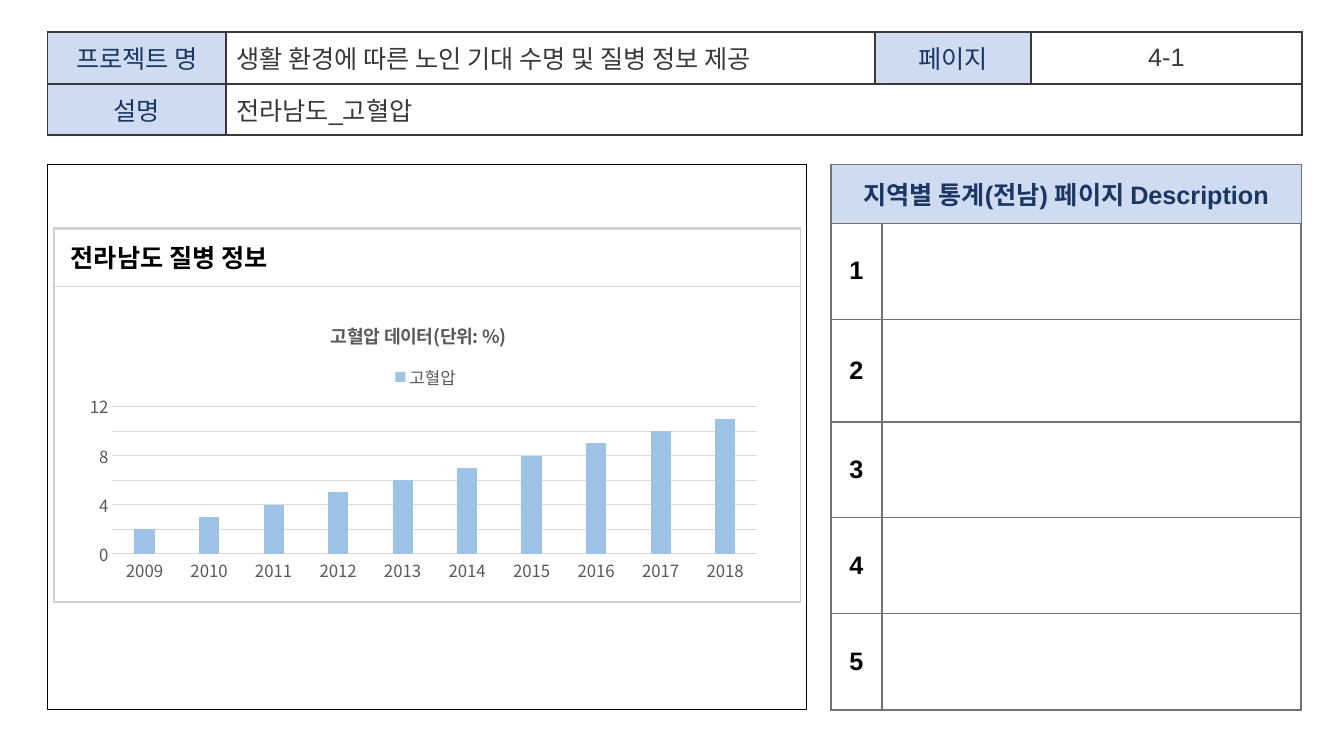
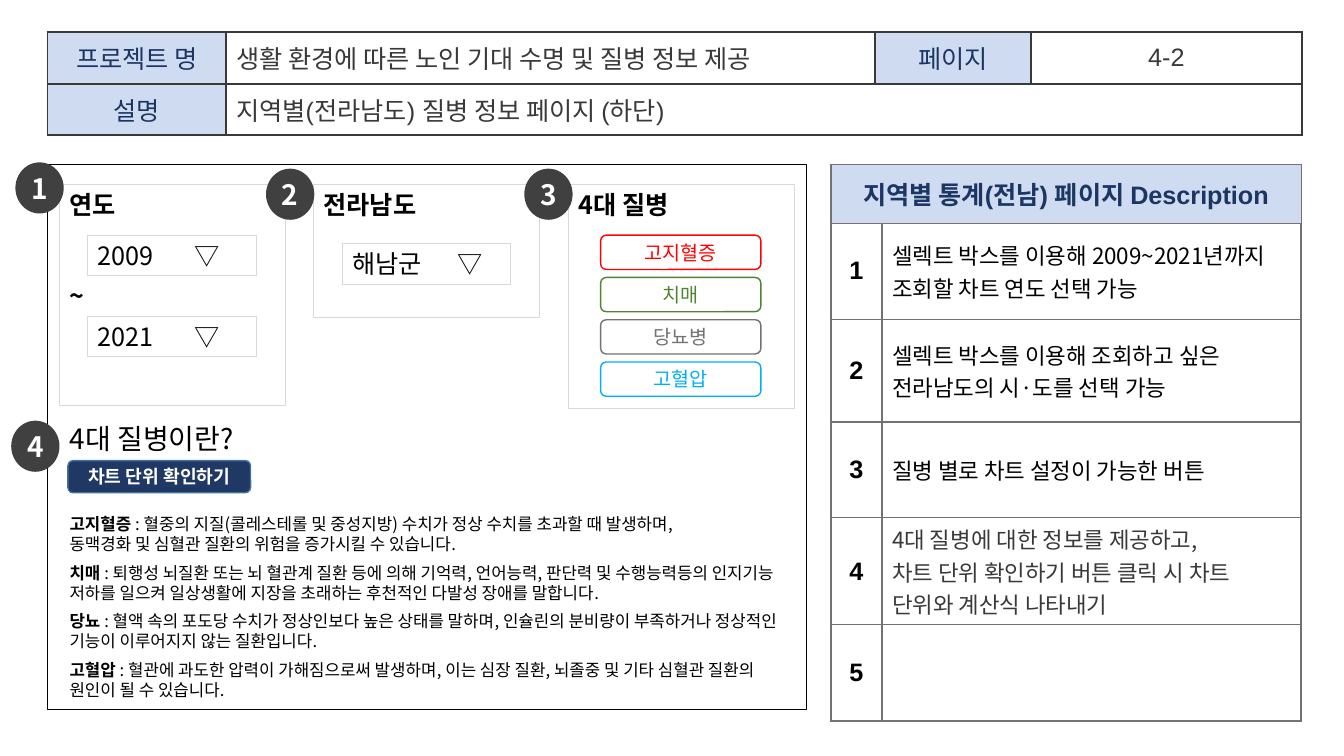
"""Build two storyboard pages on regional disease statistics."""
from lxml import etree
from pptx import Presentation, util as u
from pptx.chart import data as chart_data
from pptx.dml import color
from pptx.enum import chart as charts, shapes, text
from pptx.oxml import ns

COLORS = {
    "navy": "1C3664", "label": "CFDBF0", "ink": "3B3838", "grid": "767171",
    "white": "FFFFFF", "black": "000000", "pale": "D9D9D9", "panel": "D0CECE",
    "badge": "404040", "button": "203864", "button_edge": "43739E",
    "chart_text": "595959", "bar": "9DC3E6", "red": "FF0000",
    "green": "548235", "sky": "00B0F0",
}
NOTO, ARIAL = "Noto Sans CJK KR", "Arial"
CENTER, LEFT = text.PP_ALIGN.CENTER, text.PP_ALIGN.LEFT
MIDDLE, TOP = text.MSO_ANCHOR.MIDDLE, text.MSO_ANCHOR.TOP
RECT, ROUND, OVAL = (shapes.MSO_SHAPE.RECTANGLE, shapes.MSO_SHAPE.ROUNDED_RECTANGLE,
                     shapes.MSO_SHAPE.OVAL)


def rgb(name):
    return color.RGBColor.from_string(COLORS[name])


def add_node(parent, tag, index=None, **attributes):
    node = etree.Element(ns.qn(tag), {key: str(value) for key, value in attributes.items()})
    parent.insert(len(parent) if index is None else index, node)
    return node


def set_font(font, size, ink="black", bold=False, face=NOTO):
    font.size, font.bold, font.name = u.Pt(size), bold, face
    font.color.rgb = rgb(ink)


def set_east_asian(element):
    for properties in element.iter(ns.qn("a:rPr"), ns.qn("a:defRPr")):
        if properties.find(ns.qn("a:ea")) is None:
            add_node(properties, "a:ea", typeface=NOTO)


def style_text(frame, size, ink="black", bold=False, face=NOTO, align=LEFT, leading=None):
    for paragraph in frame.paragraphs:
        paragraph.alignment = align
        if leading:
            paragraph.line_spacing = u.Pt(leading)
        for run in paragraph.runs:
            set_font(run.font, size, ink, bold, face)
    set_east_asian(frame._txBody)


def set_borders(cell, ink, widths):
    properties = cell._tc.get_or_add_tcPr()
    for index, (side, width) in enumerate(zip("LRTB", widths)):
        edge = add_node(properties, "a:ln" + side, index, w=int(u.Pt(width)))
        add_node(add_node(edge, "a:solidFill"), "a:srgbClr", val=COLORS[ink])


def set_layout(parent, index, **fractions):
    for old in parent.findall(ns.qn("c:layout")):
        parent.remove(old)
    manual = add_node(add_node(parent, "c:layout", index), "c:manualLayout")
    if "w" in fractions:
        add_node(manual, "c:layoutTarget", val="inner")
    for axis in "xy":
        add_node(manual, f"c:{axis}Mode", val="edge")
    for key, value in fractions.items():
        add_node(manual, "c:" + key, val=value)


class Storyboard:
    """Hold the shared style and the current slide."""

    def __init__(self):
        self.deck = Presentation()
        self.deck.slide_width, self.deck.slide_height = u.Pt(960), u.Pt(540)
        self.slide = None

    def page(self, layout, number, summary, notes):
        self.slide = self.deck.slides.add_slide(self.deck.slide_layouts[layout])
        self.box(RECT, 34, 117.5, 542, 389.5, "black")
        self.description(notes)
        self.header(number, summary)

    def placeholder(self, index, left, top, width, height, anchor=TOP):
        holder = self.slide.placeholders[index]
        holder.left, holder.top = u.Pt(left), u.Pt(top)
        holder.width, holder.height = u.Pt(width), u.Pt(height)
        frame = holder.text_frame
        frame.auto_size, frame.word_wrap = text.MSO_AUTO_SIZE.NONE, True
        frame.vertical_anchor = anchor
        return holder

    def title(self, words, left, top, width, height, size, anchor=TOP, **style):
        holder = self.placeholder(0, left, top, width, height, anchor)
        holder.text_frame.text = words
        style_text(holder.text_frame, size, **style)
        return holder

    def box(self, kind, left, top, width, height, line=None, fill=None, weight=0.75):
        shape = self.slide.shapes.add_shape(
            kind, u.Pt(left), u.Pt(top), u.Pt(width), u.Pt(height))
        shape.shadow.inherit = False
        if fill:
            shape.fill.solid()
            shape.fill.fore_color.rgb = rgb(fill)
        else:
            shape.fill.background()
        if line:
            shape.line.color.rgb = rgb(line)
            shape.line.width = u.Pt(weight)
        else:
            shape.line.fill.background()
        return shape

    def button(self, words, left, top, width, height, size, ink, line, fill=None, bold=False):
        frame = self.box(ROUND, left, top, width, height, line, fill, 1).text_frame
        frame.text, frame.vertical_anchor = words, MIDDLE
        style_text(frame, size, ink, bold, align=CENTER)

    def badge(self, number, left, top):
        frame = self.box(OVAL, left, top, 34.5, 36.5, fill="badge").text_frame
        frame.text, frame.vertical_anchor = str(number), MIDDLE
        frame.margin_left = frame.margin_right = 0
        style_text(frame, 20, "white", True, align=CENTER)

    def panel(self, words, left, height):
        frame = self.box(RECT, left, 132, 161.5, height, "pale").text_frame
        frame.text, frame.vertical_anchor = words, TOP
        style_text(frame, 18, bold=True, leading=21.6)
        for paragraph in frame.paragraphs[1:]:
            paragraph.space_before = u.Pt(43)

    def select(self, choice, left, top, arrow):
        frame = self.box(RECT, left, top, 120.5, 29, "pale").text_frame
        frame.text, frame.vertical_anchor = choice + "\t▽", MIDDLE
        style_text(frame, 18)
        stops = add_node(frame.paragraphs[0]._p.get_or_add_pPr(), "a:tabLst")
        add_node(stops, "a:tab", pos=int(u.Pt(arrow)), algn="l")

    def table(self, left, top, columns, rows):
        grid = self.slide.shapes.add_table(
            len(rows), len(columns), u.Pt(left), u.Pt(top),
            u.Pt(sum(columns)), u.Pt(sum(rows))).table
        grid.first_row = grid.horz_banding = False
        for column, width in zip(grid.columns, columns):
            column.width = u.Pt(width)
        for row, height in zip(grid.rows, rows):
            row.height = u.Pt(height)
        return grid

    def cell(self, cell, words, fill, borders, **style):
        cell.fill.solid()
        cell.fill.fore_color.rgb = rgb(fill)
        cell.vertical_anchor = MIDDLE
        set_borders(cell, *borders)
        if words:
            cell.text_frame.text = words
            style_text(cell.text_frame, **style)

    def header(self, number, summary):
        grid = self.table(34, 23, [127.5, 463.5, 111.5, 193.5], [36.75, 36.75])
        grid.cell(1, 1).merge(grid.cell(1, 3))
        content = [["프로젝트 명", "생활 환경에 따른 노인 기대 수명 및 질병 정보 제공", "페이지", number],
                   ["설명", summary, "", ""]]
        for r, row in enumerate(content):
            for c, words in enumerate(row):
                is_label = c == 0 or words == "페이지"
                self.cell(grid.cell(r, c), words, "label" if is_label else "white",
                          ("ink", [1.5] * 4), size=18, face=ARIAL,
                          ink="navy" if is_label else "ink",
                          align=LEFT if c == 1 else CENTER)

    def description(self, notes):
        heights = [42, 68.5, 73.5, 68.5, 68.5, 68.5]
        grid = self.table(593.5, 117.5, [36.5, 299.5], heights)
        grid.cell(0, 0).merge(grid.cell(0, 1))
        rows = [("지역별 통계(전남) 페이지 Description", "")]
        rows += [(str(n), notes.get(n, "")) for n in range(1, len(heights))]
        for r, (label, note) in enumerate(rows):
            top, bottom = 1.5 if r == 0 else 1, 1.5 if r == len(rows) - 1 else 1
            fill = "white" if r else "label"
            self.cell(grid.cell(r, 0), label, fill, ("grid", [1.5, 1, top, bottom]),
                      size=18, ink="black" if r else "navy", bold=True,
                      face=ARIAL, align=CENTER)
            self.cell(grid.cell(r, 1), note, fill, ("grid", [1, 1.5, top, bottom]),
                      size=16, ink="ink" if r == 4 else "black")

    def definitions(self, entries, left, top, width, height):
        frame = self.placeholder(1, left, top, width, height).text_frame
        frame.margin_top = 0
        frame.text = "\n".join(term + " " for term, _ in entries)
        style_text(frame, 12, bold=True, leading=14.25)
        for paragraph, (_, meaning) in zip(frame.paragraphs, entries):
            paragraph.space_before, paragraph.space_after = u.Pt(0), u.Pt(6.3)
            for index, line in enumerate(meaning.split("\n")):
                if index:
                    paragraph.add_line_break()
                run = paragraph.add_run()
                run.text = line
                set_font(run.font, 12)
            properties = paragraph._p.get_or_add_pPr()
            properties.set("marL", "0")
            properties.set("indent", "0")
            add_node(properties, "a:buNone")
        set_east_asian(frame._txBody)

    def column_chart(self, heading, series, years, values, left, top, width, height):
        data = chart_data.CategoryChartData()
        data.categories = years
        data.add_series(series, values)
        chart = self.slide.shapes.add_chart(
            charts.XL_CHART_TYPE.COLUMN_CLUSTERED, u.Pt(left), u.Pt(top),
            u.Pt(width), u.Pt(height), data).chart
        set_font(chart.font, 12, "chart_text")
        chart.has_title = chart.has_legend = True
        chart.chart_title.text_frame.text = heading
        style_text(chart.chart_title.text_frame, 13, "chart_text", True, align=CENTER)
        chart.legend.position = charts.XL_LEGEND_POSITION.TOP
        chart.legend.include_in_layout = False
        set_font(chart.legend.font, 12, "chart_text")

        plot = chart.plots[0]
        plot.gap_width, plot.overlap, plot.vary_by_categories = 219, -27, False
        bars = plot.series[0].format.fill
        bars.solid()
        bars.fore_color.rgb = rgb("bar")

        scale = chart.value_axis
        scale.minimum_scale, scale.maximum_scale, scale.major_unit = 0, 12, 2
        scale.format.line.fill.background()
        for axis in (scale, chart.category_axis):
            axis.major_tick_mark = charts.XL_TICK_MARK.NONE
            set_font(axis.tick_labels.font, 12, "chart_text")
        for line in (scale.major_gridlines.format.line, chart.category_axis.format.line):
            line.color.rgb, line.width = rgb("pale"), u.Pt(0.75)

        set_layout(chart.chart_title._element, 1, x=0.36, y=0.06)
        set_layout(chart.legend._element, 1, x=0.45, y=0.21)
        set_layout(chart.element.find(".//" + ns.qn("c:plotArea")), 0,
                   x=0.05, y=0.37, w=0.93, h=0.51)
        set_east_asian(chart.element)


def main():
    board = Storyboard()

    board.page(5, "4-1", "전라남도_고혈압", {})
    board.box(RECT, 38.5, 163, 533.5, 267, "panel", weight=1)
    heading = board.title("전라남도 질병 정보", 38.5, 163.5, 533.5, 41, 18, MIDDLE,
                          bold=True, face=ARIAL)
    heading.text_frame.margin_left = u.Pt(12)
    heading.line.color.rgb, heading.line.width = rgb("pale"), u.Pt(1)
    board.column_chart("고혈압 데이터(단위: %)", "고혈압",
                       [str(year) for year in range(2009, 2019)], range(2, 12),
                       55.5, 214, 495.5, 206.5)

    board.page(1, "4-2", "지역별(전라남도) 질병 정보 페이지 (하단)", {
        1: "셀렉트 박스를 이용해 2009~2021년까지 조회할 차트 연도 선택 가능",
        2: "셀렉트 박스를 이용해 조회하고 싶은 전라남도의 시·도를 선택 가능",
        3: "질병 별로 차트 설정이 가능한 버튼",
        4: "4대 질병에 대한 정보를 제공하고,\n차트 단위 확인하기 버튼 클릭 시 차트 단위와 계산식 나타내기",
    })
    board.title("4대 질병이란?", 42.5, 297.5, 200, 32, 20, leading=24)
    board.definitions([
        ("고지혈증", ": 혈중의 지질(콜레스테롤 및 중성지방) 수치가 정상 수치를 초과할 때 발생하며,\n"
                 "동맥경화 및 심혈관 질환의 위험을 증가시킬 수 있습니다."),
        ("치매", ": 퇴행성 뇌질환 또는 뇌 혈관계 질환 등에 의해 기억력, 언어능력, 판단력 및 수행능력등의 "
               "인지기능 저하를 일으켜 일상생활에 지장을 초래하는 후천적인 다발성 장애를 말합니다."),
        ("당뇨", ": 혈액 속의 포도당 수치가 정상인보다 높은 상태를 말하며, 인슐린의 분비량이 부족하거나 "
               "정상적인 기능이 이루어지지 않는 질환입니다."),
        ("고혈압", ": 혈관에 과도한 압력이 가해짐으로써 발생하며, 이는 심장 질환, 뇌졸중 및 기타 심혈관 "
                "질환의 원인이 될 수 있습니다."),
    ], 42.5, 367, 525, 138)
    board.button("차트 단위 확인하기", 48.5, 329, 130.5, 23, 13, "white",
                 "button_edge", "button", True)
    for words, left, height in (("연도\n~", 42.5, 157.5), ("전라남도", 224, 94.5),
                                ("4대 질병", 406, 160)):
        board.panel(words, left, height)
    for choice, left, top, arrow in (("2009", 62.5, 168, 69), ("2021", 62.5, 226, 69),
                                     ("해남군", 244.5, 174, 75.5)):
        board.select(choice, left, top, arrow)
    diseases = (("고지혈증", "red"), ("치매", "green"), ("당뇨병", "grid"), ("고혈압", "sky"))
    for index, (disease, ink) in enumerate(diseases):
        board.button(disease, 429, 168 + 30.2 * index, 114.5, 24.5, 14, ink, ink)
    badge_places = ((11, 116), (190, 120.5), (374.5, 120.5), (8, 300.5))
    for number, (left, top) in enumerate(badge_places, 1):
        board.badge(number, left, top)

    board.deck.save("out.pptx")


if __name__ == "__main__":
    main()
